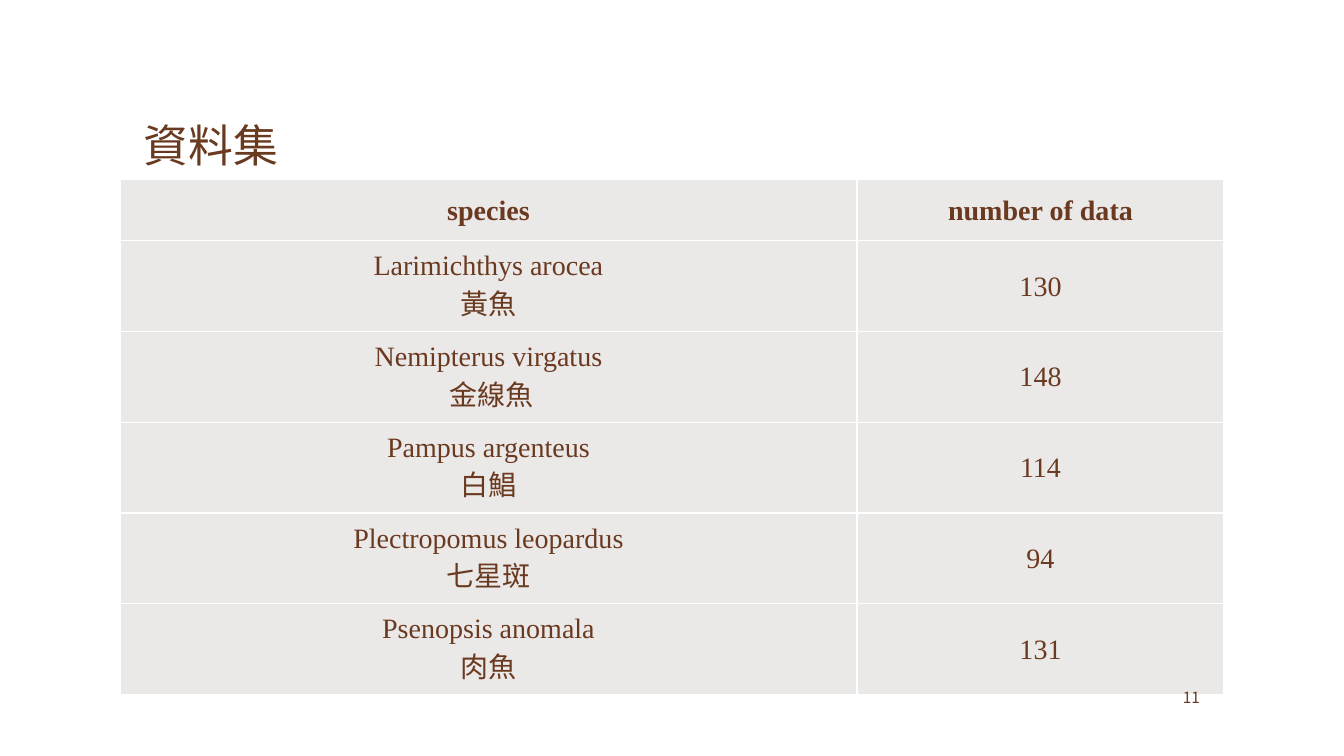
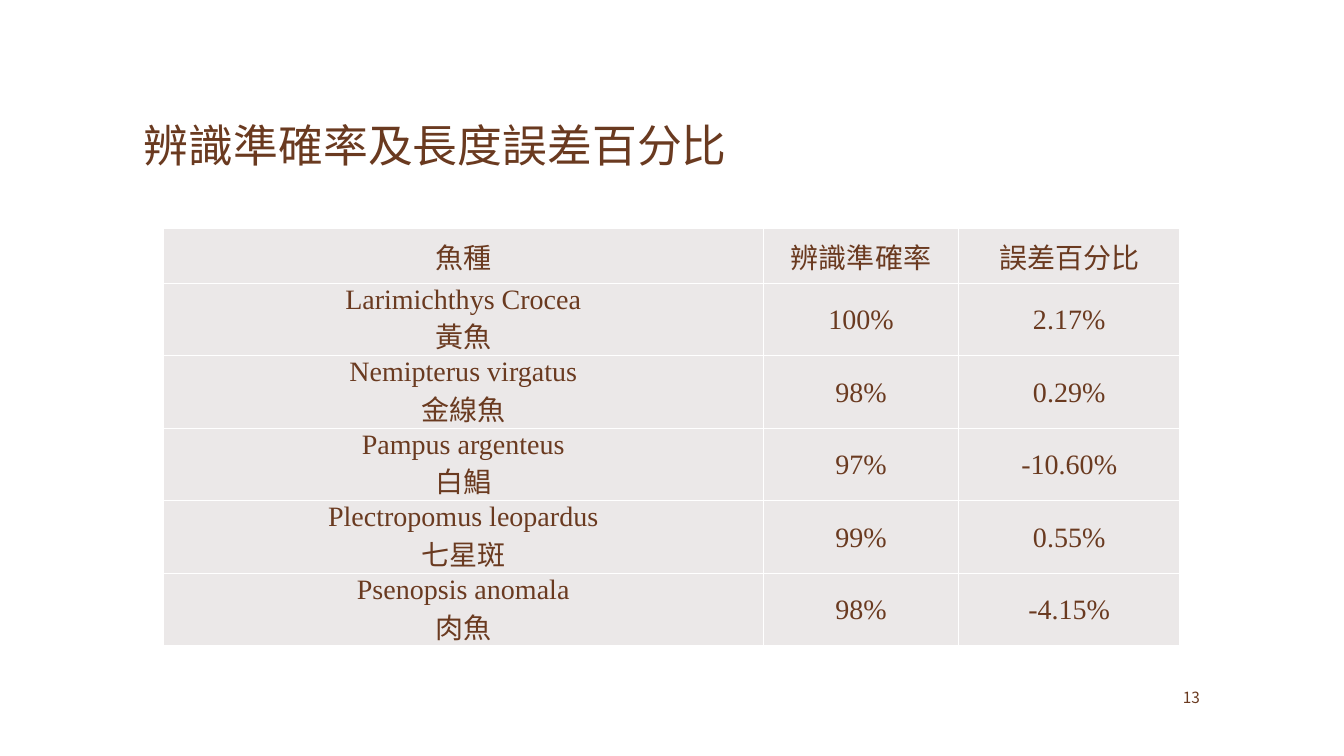
from dataclasses import dataclass

from lxml import etree
from pptx import Presentation
from pptx import util as u
from pptx.dml.color import RGBColor
from pptx.enum import text
from pptx.oxml.ns import qn

TITLE_BOX = (133, 47, 1066, 128)
NUMBER_BOX = (1122, 675, 78, 33)

SLIDES = [
    {
        "title": "資料集",
        "title_font": "Noto Sans CJK TC",
        "number": "11",
        "table_at": (119, 178),
        "columns": (731, 364),
        "header_height": 61,
        "row_height": 90,
        "bold_header": True,
        "rows": [
            ("species", "number of data"),
            ("Larimichthys arocea\n黃魚", "130"),
            ("Nemipterus virgatus\n 金線魚", "148"),
            ("Pampus argenteus\n白鯧", "114"),
            ("Plectropomus leopardus\n七星斑", "94"),
            ("Psenopsis anomala\n肉魚", "131"),
        ],
    },
    {
        "title": "辨識準確率及長度誤差百分比",
        "title_font": "Noto Sans CJK SC",
        "number": "13",
        "table_at": (162, 227),
        "columns": (595, 194, 219),
        "header_height": 54,
        "row_height": 72,
        "bold_header": False,
        "rows": [
            ("魚種", "辨識準確率", "誤差百分比"),
            ("Larimichthys Crocea\n黃魚", "100%", "2.17%"),
            ("Nemipterus virgatus\n金線魚", "98%", "0.29%"),
            ("Pampus argenteus\n白鯧", "97%", "-10.60%"),
            ("Plectropomus leopardus\n七星斑", "99%", "0.55%"),
            ("Psenopsis anomala\n肉魚", "98%", "-4.15%"),
        ],
    },
]


@dataclass(frozen=True)
class Theme:
    ink: RGBColor = RGBColor(0x6A, 0x3A, 0x20)
    cell: RGBColor = RGBColor(0xEB, 0xE8, 0xE8)
    border: str = "FFFFFF"
    latin: str = "Times New Roman"
    chinese: str = "Noto Sans CJK TC"
    title_size: int = 32
    table_size: int = 20
    number_size: int = 11


THEME = Theme()


def px(length):
    """Convert px, at 100 to the inch, into EMU."""
    return u.Emu(length * 9144)


def format_text(text_frame, size, latin, chinese, align, bold=False):
    for paragraph in text_frame.paragraphs:
        paragraph.alignment = align
        for run in paragraph.runs:
            run.font.size = u.Pt(size)
            run.font.bold = bold
            run.font.color.rgb = THEME.ink
            run.font.name = latin
            properties = run.font._element
            etree.SubElement(properties, qn("a:ea"), typeface=chinese)


def add_label(slide, box, content, size, font, align, anchor):
    text_frame = slide.shapes.add_textbox(*map(px, box)).text_frame
    text_frame.word_wrap = True
    text_frame.vertical_anchor = anchor
    text_frame.text = content
    format_text(text_frame, size, font, font, align)


def add_borders(cell):
    properties = cell._tc.get_or_add_tcPr()
    for side in ("a:lnL", "a:lnR", "a:lnT", "a:lnB"):
        line = etree.SubElement(properties, qn(side), w=str(u.Pt(1)))
        fill = etree.SubElement(line, qn("a:solidFill"))
        etree.SubElement(fill, qn("a:srgbClr"), val=THEME.border)


def fill_cell(cell, content, bold):
    cell.text = content
    cell.vertical_anchor = text.MSO_ANCHOR.MIDDLE
    cell.margin_left = cell.margin_right = cell.margin_top = px(1)
    cell.margin_bottom = 0
    add_borders(cell)
    cell.fill.solid()
    cell.fill.fore_color.rgb = THEME.cell
    format_text(cell.text_frame, THEME.table_size, THEME.latin,
                THEME.chinese, text.PP_ALIGN.CENTER, bold)


def add_species_table(slide, content):
    rows, columns = content["rows"], content["columns"]
    heights = [content["header_height"]]
    heights += [content["row_height"]] * (len(rows) - 1)
    box = (*content["table_at"], sum(columns), sum(heights))
    table = slide.shapes.add_table(len(rows), len(columns), *map(px, box)).table
    table.first_row = table.horz_banding = False
    for column, width in zip(table.columns, columns):
        column.width = px(width)
    for index, (row, height) in enumerate(zip(table.rows, heights)):
        row.height = px(height)
        for cell, value in zip(row.cells, rows[index]):
            fill_cell(cell, value, index == 0 and content["bold_header"])


def add_slide(presentation, content):
    slide = presentation.slides.add_slide(presentation.slide_layouts[6])
    add_label(slide, TITLE_BOX, content["title"], THEME.title_size,
              content["title_font"], text.PP_ALIGN.LEFT, text.MSO_ANCHOR.BOTTOM)
    add_species_table(slide, content)
    add_label(slide, NUMBER_BOX, content["number"], THEME.number_size,
              THEME.chinese, text.PP_ALIGN.RIGHT, text.MSO_ANCHOR.MIDDLE)


def main():
    presentation = Presentation()
    presentation.slide_width = px(1333)
    presentation.slide_height = px(750)
    for content in SLIDES:
        add_slide(presentation, content)
    presentation.save("out.pptx")


if __name__ == "__main__":
    main()
